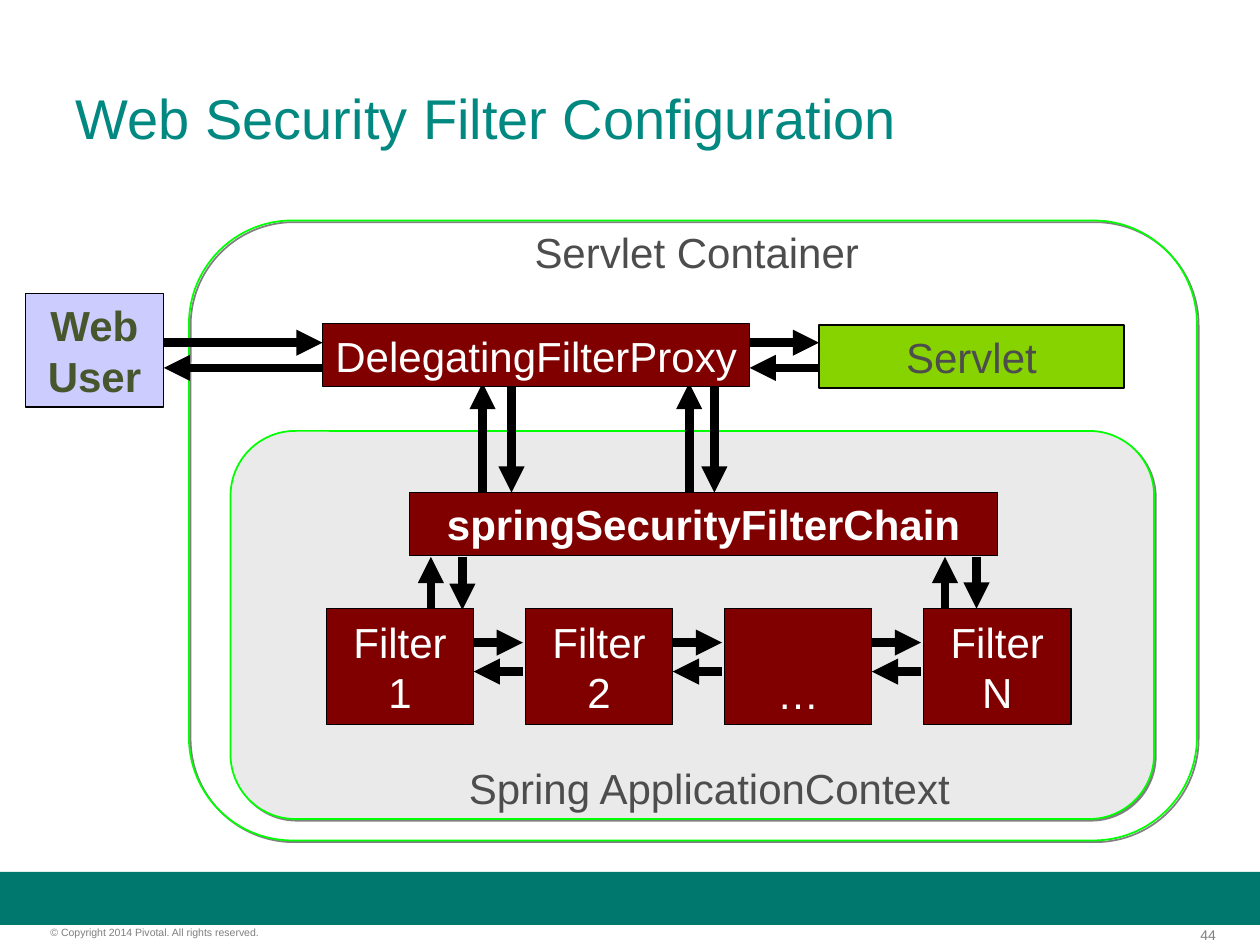
"""Build the slide on web security filter configuration."""
from dataclasses import dataclass

from lxml.etree import SubElement
from pptx import Presentation
from pptx.dml.color import RGBColor
from pptx.enum.shapes import MSO_CONNECTOR, MSO_SHAPE
from pptx.enum.text import MSO_ANCHOR, PP_ALIGN
from pptx.oxml.ns import qn
from pptx.util import Inches, Pt

TEAL = RGBColor(0x00, 0x88, 0x81)
BAND = RGBColor(0x00, 0x78, 0x6E)
GRAY = RGBColor(0x7F, 0x7F, 0x7F)
DARK = RGBColor(0x4D, 0x4D, 0x4D)
PALE = RGBColor(0xEA, 0xEA, 0xEA)
NEON = RGBColor(0x00, 0xFF, 0x00)
LIME = RGBColor(0x87, 0xD3, 0x00)
LILAC = RGBColor(0xCC, 0xCC, 0xFF)
OLIVE = RGBColor(0x47, 0x56, 0x2C)
MAROON = RGBColor(0x80, 0x00, 0x00)
WHITE = RGBColor(0xFF, 0xFF, 0xFF)
BLACK = RGBColor(0x00, 0x00, 0x00)

FIRST, STEP = 2.59, 1.58


@dataclass
class Box:
    text: str
    left: float
    top: float
    width: float
    height: float
    fill: RGBColor = MAROON
    ink: RGBColor = WHITE
    bold: bool = False
    anchor: MSO_ANCHOR = MSO_ANCHOR.MIDDLE


@dataclass
class Pair:
    start: float
    end: float
    out: float
    back: float
    upright: bool = False


def write(frame, text: str, size: float = 24, color: RGBColor = DARK, bold: bool = False,
          align: PP_ALIGN = PP_ALIGN.CENTER, anchor: MSO_ANCHOR = MSO_ANCHOR.MIDDLE,
          wrap: bool = False, inset: tuple = (0.1, 0.05)) -> None:
    frame.word_wrap = wrap
    frame.vertical_anchor = anchor
    frame.margin_left = frame.margin_right = Inches(inset[0])
    frame.margin_top = frame.margin_bottom = Inches(inset[1])
    frame.text = text
    for line in frame.paragraphs:
        line.alignment = align
        font = line.font
        font.name, font.size, font.bold = "Arial", Pt(size), bold
        font.color.rgb = color


def label(slide, place: tuple, text: str, **style) -> None:
    area = slide.shapes.add_textbox(*map(Inches, place))
    write(area.text_frame, text, **style)


def panel(slide, kind: MSO_SHAPE, place: tuple, fill=None, edge=None, weight: float = 0.75):
    shape = slide.shapes.add_shape(kind, *map(Inches, place))
    shape.shadow.inherit = False
    if fill is None:
        shape.fill.background()
    else:
        shape.fill.solid()
        shape.fill.fore_color.rgb = fill
    if edge is None:
        shape.line.fill.background()
    else:
        shape.line.color.rgb = edge
        shape.line.width = Pt(weight)
    return shape


def region(slide, place: tuple, fill=None) -> None:
    shape = panel(slide, MSO_SHAPE.ROUNDED_RECTANGLE, place, fill, NEON, 1)
    effects = shape.element.spPr.find(qn("a:effectLst"))
    shade = SubElement(effects, qn("a:outerShdw"), dist=str(Pt(1.4)),
                       dir="2700000", algn="ctr", rotWithShape="0")
    SubElement(shade, qn("a:srgbClr"), val="808080")


def draw(slide, box: Box) -> None:
    place = (box.left, box.top, box.width, box.height)
    shape = panel(slide, MSO_SHAPE.RECTANGLE, place, box.fill, BLACK)
    write(shape.text_frame, box.text, color=box.ink, bold=box.bold, anchor=box.anchor)


def arrow(slide, start: tuple, end: tuple) -> None:
    line = slide.shapes.add_connector(MSO_CONNECTOR.STRAIGHT, *map(Inches, start + end))
    line.line.color.rgb = BLACK
    line.line.width = Pt(5)
    props = line.element.spPr
    SubElement(props.find(qn("a:ln")), qn("a:tailEnd"), type="triangle")
    SubElement(props, qn("a:effectLst"))


def link(slide, pair: Pair) -> None:
    ways = ((pair.start, pair.end, pair.out), (pair.end, pair.start, pair.back))
    for tail, head, track in ways:
        if pair.upright:
            arrow(slide, (track, tail), (track, head))
        else:
            arrow(slide, (tail, track), (head, track))


def main() -> None:
    deck = Presentation()
    deck.slide_width, deck.slide_height = Inches(10), Inches(7.5)
    slide = deck.slides.add_slide(deck.slide_layouts[5])

    title = slide.shapes.title
    title.left, title.top = Inches(0.5), Inches(0.61)
    title.width, title.height = Inches(9), Inches(0.64)
    write(title.text_frame, "Web Security Filter Configuration", size=32, color=TEAL,
          align=PP_ALIGN.LEFT, wrap=True)

    panel(slide, MSO_SHAPE.RECTANGLE, (0, 6.92, 10, 0.42), BAND)
    small = dict(color=GRAY, anchor=MSO_ANCHOR.TOP, wrap=True, inset=(0, 0))
    label(slide, (9.3, 7.35, 0.35, 0.13), "44", size=8, align=PP_ALIGN.RIGHT, **small)
    label(slide, (0.4, 7.35, 2.49, 0.1), "© Copyright 2014 Pivotal. All rights reserved.",
          size=6, align=PP_ALIGN.LEFT, **small)

    region(slide, (1.83, 3.42, 7.33, 3.08), PALE)
    region(slide, (1.5, 1.75, 8, 4.92))
    label(slide, (3.93, 1.75, 3.2, 0.5), "Servlet Container")
    label(slide, (3.53, 6, 4.2, 0.5), "Spring ApplicationContext")

    pairs = [
        Pair(1.3, 2.56, 2.72, 2.92),
        Pair(5.95, 6.5, 2.72, 2.92),
        Pair(3.04, 3.91, 4.06, 3.83, upright=True),
        Pair(3.04, 3.91, 5.67, 5.47, upright=True),
        Pair(4.42, 4.84, 3.67, 3.42, upright=True),
        Pair(4.42, 4.83, 7.75, 7.5, upright=True),
    ]
    pairs += [Pair(3.76 + STEP * spot, 4.15 + STEP * spot, 5.1, 5.33) for spot in range(3)]
    for pair in pairs:
        link(slide, pair)

    boxes = [
        Box("Web\nUser", 0.2, 2.33, 1.1, 0.9, LILAC, OLIVE, bold=True),
        Box("Servlet", 6.5, 2.58, 2.42, 0.5, LIME, DARK),
        Box("DelegatingFilterProxy", 2.56, 2.57, 3.39, 0.5),
        Box("springSecurityFilterChain", 3.25, 3.91, 4.67, 0.5, bold=True),
    ]
    for spot, name in enumerate(("Filter\n1", "Filter\n2", "…", "Filter\nN")):
        anchor = MSO_ANCHOR.BOTTOM if name == "…" else MSO_ANCHOR.MIDDLE
        boxes.append(Box(name, FIRST + STEP * spot, 4.83, 1.17, 0.92, anchor=anchor))
    for box in boxes:
        draw(slide, box)

    deck.save("out.pptx")


if __name__ == "__main__":
    main()
